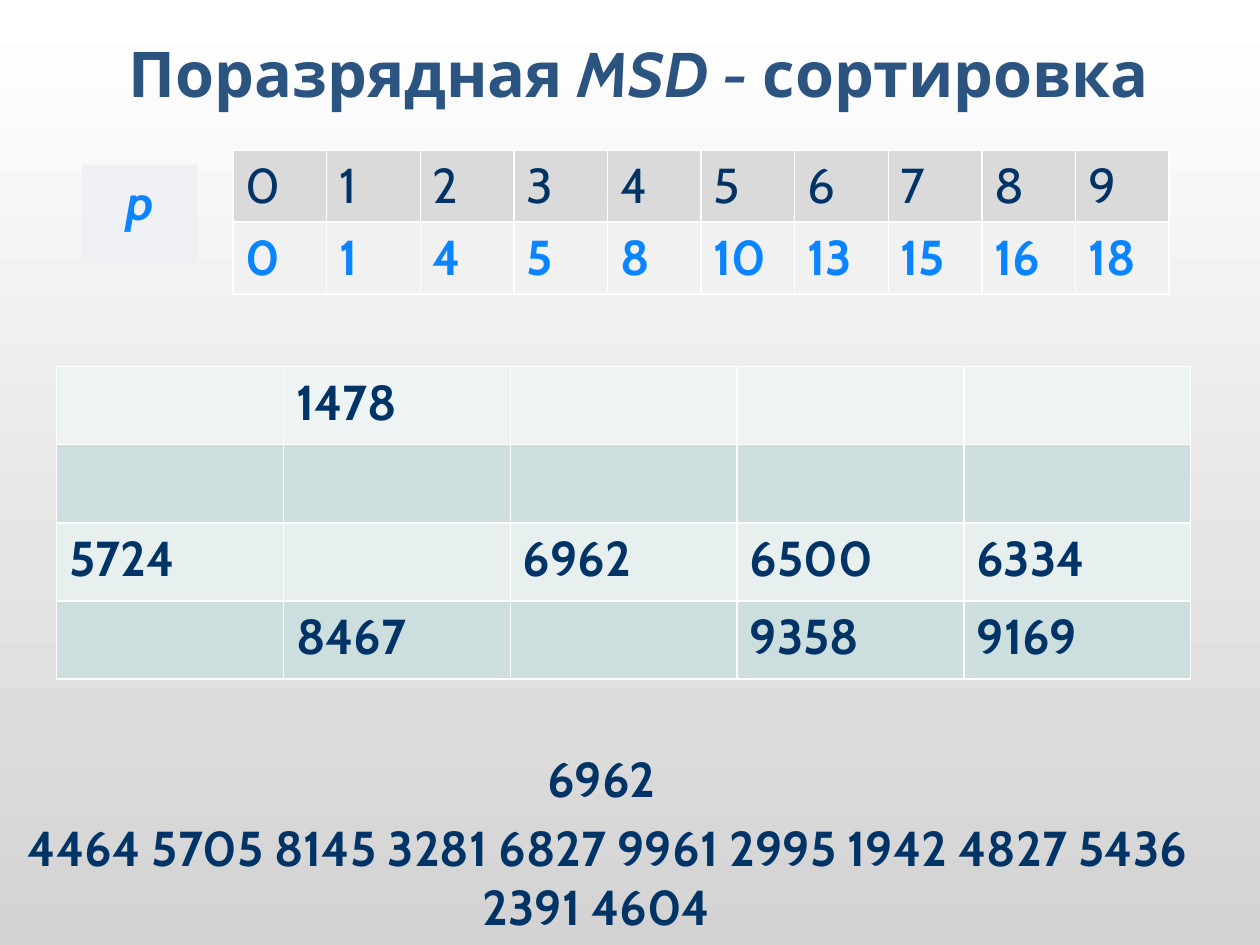
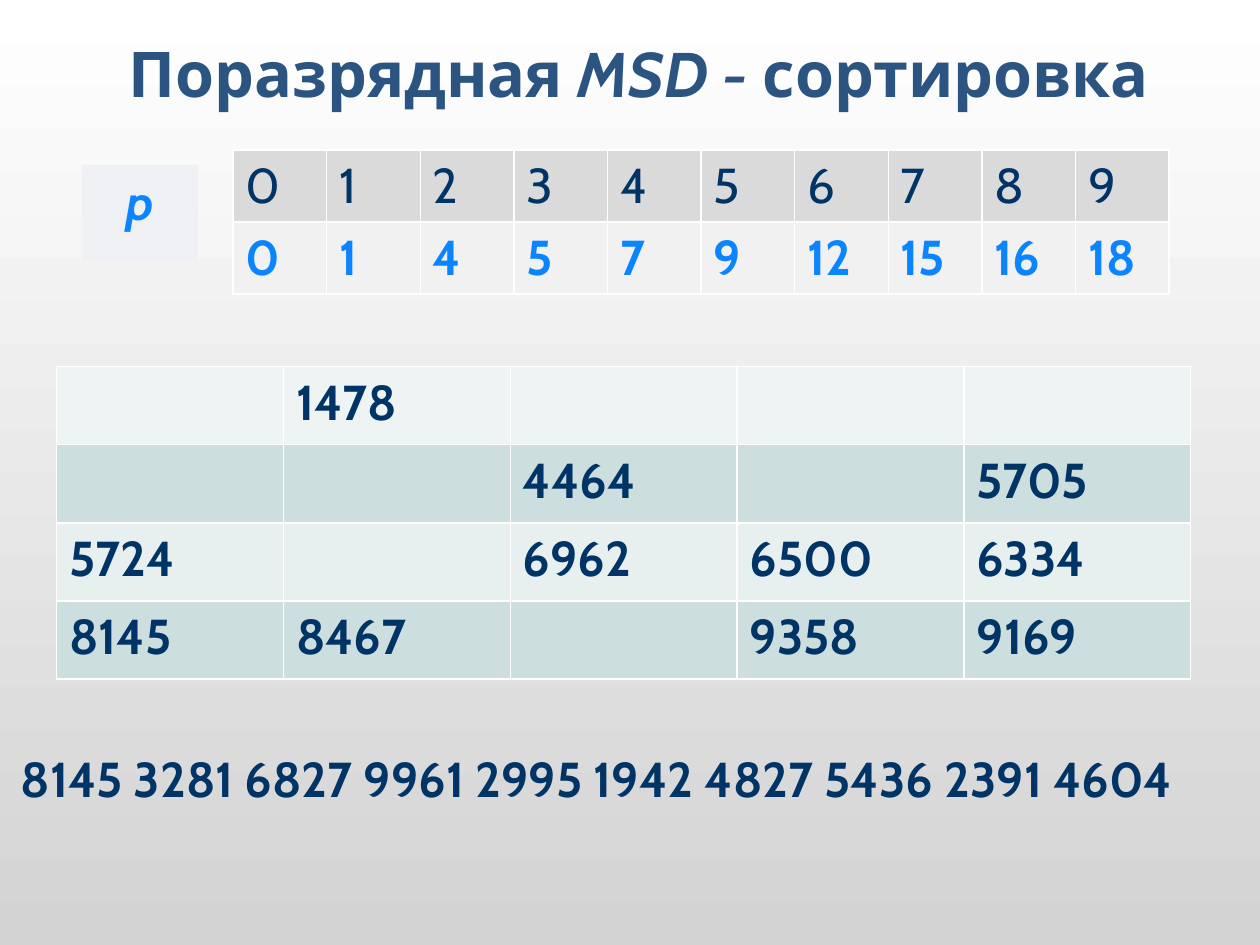
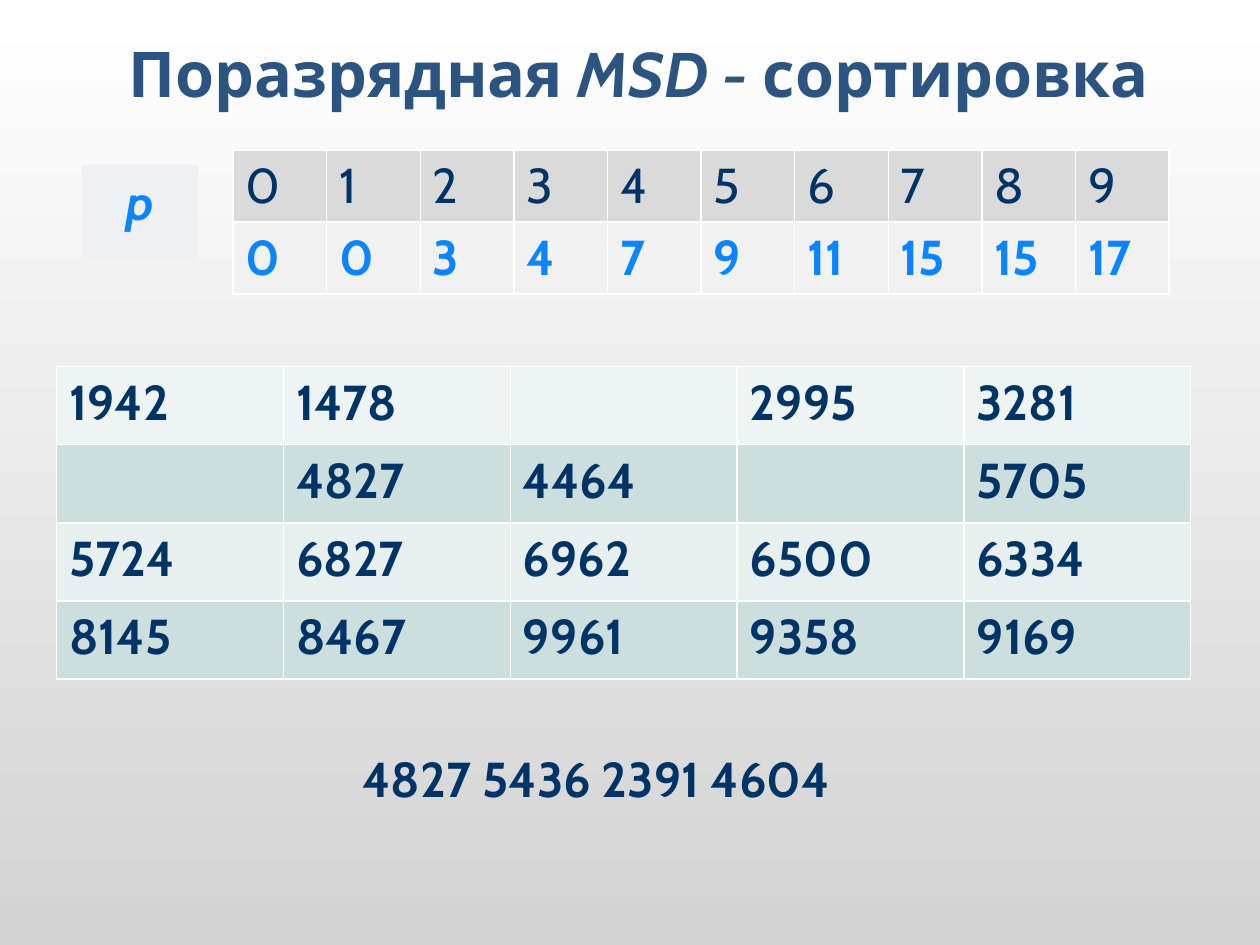
"""Builds three slides that step through an MSD radix sort."""
from lxml import etree
from pptx import Presentation
from pptx.dml.color import RGBColor
from pptx.enum.shapes import MSO_SHAPE
from pptx.enum.text import MSO_ANCHOR, MSO_AUTO_SIZE, PP_ALIGN
from pptx.oxml.ns import qn
from pptx.util import Inches, Pt

CENTER, LEFT = PP_ALIGN.CENTER, PP_ALIGN.LEFT
TOP, MIDDLE = MSO_ANCHOR.TOP, MSO_ANCHOR.MIDDLE
RECTANGLE = MSO_SHAPE.RECTANGLE
FIT_SHAPE, NO_FIT = MSO_AUTO_SIZE.SHAPE_TO_FIT_TEXT, MSO_AUTO_SIZE.NONE

FONT = "Cabin"
COLORS = {
    "background_top": "FFFFFF",
    "background_bottom": "D3D3D3",
    "title": "2B5481",
    "text": "003366",
    "accent": "0A85FF",
    "label": "EEF0F3",
    "border": "FFFFFF",
}
POINTER_FILLS = ["DADADA", "F1F1F1"]
BUCKET_FILLS = ["EEF4F4", "CCDEDE", "E7EFEF", "CCDEDE"]

TITLE_RUNS = [("Поразрядная ", False), ("MSD - ", True), ("сортировка", False)]
DIGITS = list(range(10))
STEPS = [
    {
        "pointers": [0, 1, 4, 5, 8, 10, 13, 15, 16, 18],
        "buckets": [
            ["", "1478", "", "", ""],
            ["", "", "", "", ""],
            ["5724", "", "6962", "6500", "6334"],
            ["", "8467", "", "9358", "9169"],
        ],
        "queue": ["6962", " 4464 5705 8145 3281 6827 9961 2995 1942 4827 5436 2391 4604 "],
        "queue_height": 1.61,
    },
    {
        "pointers": [0, 1, 4, 5, 7, 9, 12, 15, 16, 18],
        "buckets": [
            ["", "1478", "", "", ""],
            ["", "", "4464", "", "5705"],
            ["5724", "", "6962", "6500", "6334"],
            ["8145", "8467", "", "9358", "9169"],
        ],
        "queue": ["8145 3281 6827 9961 2995 1942 4827 5436 2391 4604 "],
        "queue_height": 1.04,
    },
    {
        "pointers": [0, 0, 3, 4, 7, 9, 11, 15, 15, 17],
        "buckets": [
            ["1942", "1478", "", "2995", "3281"],
            ["", "4827", "4464", "", "5705"],
            ["5724", "6827", "6962", "6500", "6334"],
            ["8145", "8467", "9961", "9358", "9169"],
        ],
        "queue": ["4827 5436 2391 4604 "],
        "queue_height": 0.57,
    },
]


def rgb(name):
    return RGBColor.from_string(COLORS.get(name, name))


def format_paragraph(paragraph, color, size=28, bold=True, alignment=CENTER):
    paragraph.alignment = alignment
    paragraph.font.name = FONT
    paragraph.font.size = Pt(size)
    paragraph.font.bold = bold
    paragraph.font.color.rgb = rgb(color)


def set_borders(cell):
    properties = cell._tc.get_or_add_tcPr()
    for index, side in enumerate(("a:lnL", "a:lnR", "a:lnT", "a:lnB")):
        line = etree.Element(qn(side), w=str(Pt(1)))
        fill = etree.SubElement(line, qn("a:solidFill"))
        etree.SubElement(fill, qn("a:srgbClr"), val=COLORS["border"])
        properties.insert(index, line)


def add_grid(slide, rows, left, top, width, row_height, fills, styles):
    column_count = len(rows[0])
    table = slide.shapes.add_table(
        len(rows), column_count, Inches(left), Inches(top),
        Inches(width), Inches(row_height * len(rows))).table
    table.first_row = table.horz_banding = False
    for column in table.columns:
        column.width = Inches(width / column_count)
    for row_index, (values, fill, (color, bold)) in enumerate(zip(rows, fills, styles)):
        for column_index, value in enumerate(values):
            cell = table.cell(row_index, column_index)
            cell.text = str(value)
            cell.fill.solid()
            cell.fill.fore_color.rgb = rgb(fill)
            set_borders(cell)
            format_paragraph(cell.text_frame.paragraphs[0], color, bold=bold, alignment=LEFT)


def add_title(slide):
    title = slide.shapes.title
    title.left, title.top = Inches(0.57), Inches(0.32)
    title.width, title.height = Inches(9), Inches(0.5)
    frame = title.text_frame
    frame.auto_size = NO_FIT
    frame.vertical_anchor = MIDDLE
    paragraph = frame.paragraphs[0]
    for text, italic in TITLE_RUNS:
        run = paragraph.add_run()
        run.text = text
        run.font.italic = italic
    format_paragraph(paragraph, "title", size=36)


def add_pointer_label(slide):
    label = slide.shapes.add_shape(
        RECTANGLE, Inches(0.65), Inches(1.31), Inches(0.92), Inches(0.76))
    label.shadow.inherit = False
    label.fill.solid()
    label.fill.fore_color.rgb = rgb("label")
    label.line.fill.background()
    label.text_frame.vertical_anchor = TOP
    paragraph = label.text_frame.paragraphs[0]
    paragraph.text = "p"
    format_paragraph(paragraph, "accent")
    paragraph.font.italic = True


def add_queue(slide, lines, height):
    box = slide.shapes.add_textbox(Inches(0), Inches(5.89), Inches(9.55), Inches(height))
    frame = box.text_frame
    frame.word_wrap = True
    frame.auto_size = FIT_SHAPE
    for index, line in enumerate(lines):
        paragraph = frame.add_paragraph() if index else frame.paragraphs[0]
        paragraph.text = line
        format_paragraph(paragraph, "text")
        if index:
            paragraph.space_before = Pt(6)


def set_background(master):
    fill = master.background.fill
    fill.gradient()
    fill.gradient_angle = 270
    for stop, name, position in zip(
            fill.gradient_stops, ("background_top", "background_bottom"), (0, 1)):
        stop.color.rgb = rgb(name)
        stop.position = position


def add_step(presentation, step):
    slide = presentation.slides.add_slide(presentation.slide_layouts.get_by_name("Title Only"))
    add_title(slide)
    add_grid(slide, step["buckets"], 0.45, 2.91, 9, 0.62,
             BUCKET_FILLS, [("text", True)] * len(BUCKET_FILLS))
    add_pointer_label(slide)
    add_grid(slide, [DIGITS, step["pointers"]], 1.85, 1.19, 7.43, 0.57,
             POINTER_FILLS, [("text", False), ("accent", True)])
    add_queue(slide, step["queue"], step["queue_height"])


def main():
    presentation = Presentation()
    presentation.slide_width = Inches(10)
    presentation.slide_height = Inches(7.5)
    set_background(presentation.slide_master)
    for step in STEPS:
        add_step(presentation, step)
    presentation.save("out.pptx")


if __name__ == "__main__":
    main()
